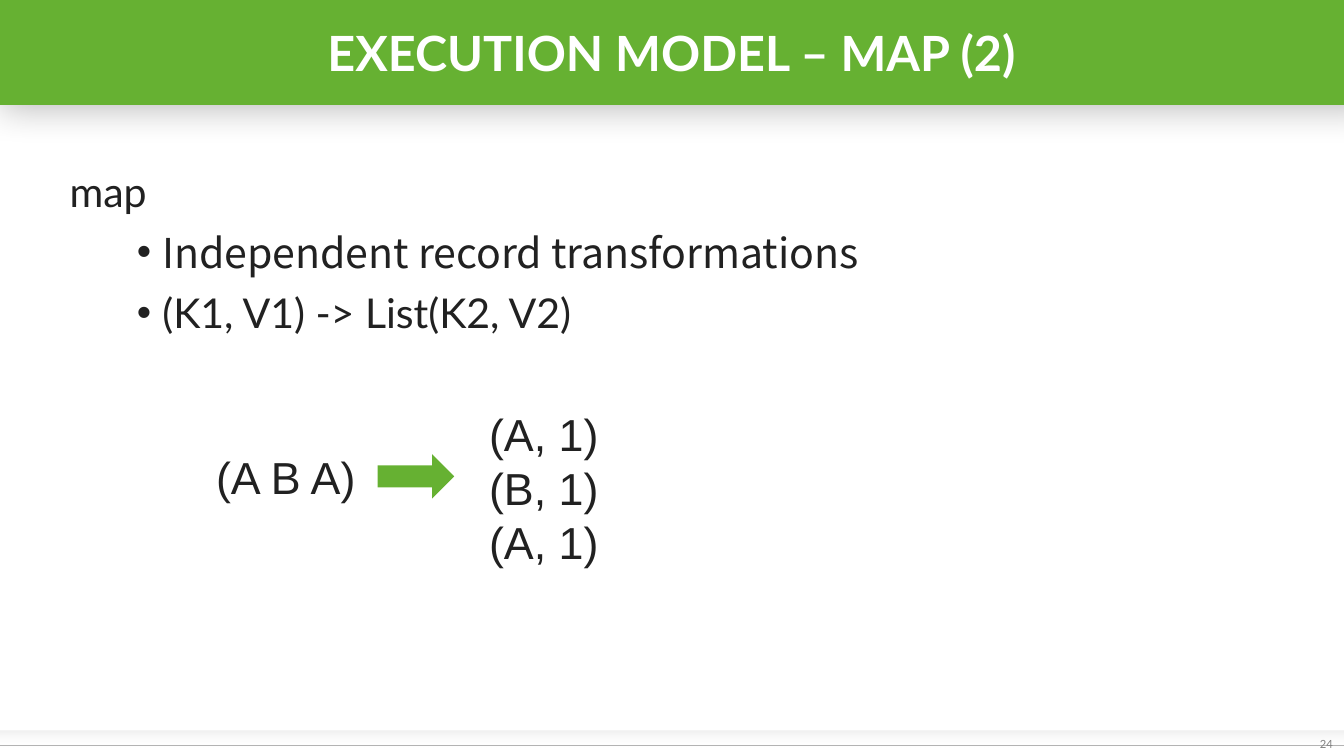
from lxml import etree
from pptx import Presentation
from pptx.dml.color import RGBColor
from pptx.enum.shapes import MSO_CONNECTOR, MSO_SHAPE
from pptx.enum.text import MSO_ANCHOR, PP_ALIGN
from pptx.oxml import parse_xml
from pptx.oxml.ns import nsdecls, qn
from pptx.util import Inches, Pt

GREEN = RGBColor(0x66, 0xB1, 0x32)
INK = RGBColor(0x21, 0x21, 0x21)
WHITE = RGBColor(0xFF, 0xFF, 0xFF)
RULE_GRAY = RGBColor(0xB3, 0xB3, 0xB3)
NUMBER_GRAY = RGBColor(0x80, 0x80, 0x80)
RECT, ARROW = MSO_SHAPE.RECTANGLE, MSO_SHAPE.RIGHT_ARROW
STRAIGHT = MSO_CONNECTOR.STRAIGHT
LEFT, CENTER = PP_ALIGN.LEFT, PP_ALIGN.CENTER
TOP, MIDDLE = MSO_ANCHOR.TOP, MSO_ANCHOR.MIDDLE
INSETS = (0.1, 0.05, 0.1, 0.05)
NO_INSETS = (0, 0, 0, 0)


def add_shape(s, kind, x, y, w, h):
    sp = s.shapes.add_shape(kind, Inches(x), Inches(y), Inches(w), Inches(h))
    sp.shadow.inherit = False
    sp.line.fill.background()
    sp.fill.solid()
    sp.fill.fore_color.rgb = GREEN
    return sp


def add_box(s, x, y, w, h):
    return s.shapes.add_textbox(Inches(x), Inches(y), Inches(w), Inches(h))


def set_text(sp, lines, size=24, font="Arial", color=INK, bold=False, align=LEFT,
             anchor=TOP, insets=INSETS, before=0):
    """Fill a shape with one paragraph per line and return the paragraphs."""
    tf = sp.text_frame
    tf.word_wrap = True
    tf.vertical_anchor = anchor
    tf.margin_left, tf.margin_top, tf.margin_right, tf.margin_bottom = map(Inches, insets)
    tf.text = "\n".join(lines)
    for p in tf.paragraphs:
        p.alignment = align
        p.space_before = Pt(before)
        f = p.runs[0].font
        f.size, f.name, f.bold = Pt(size), font, bold
        f.color.rgb = color
    return tf.paragraphs


def add_bullet(p, margin, indent):
    pPr = p._p.get_or_add_pPr()
    pPr.set("marL", str(Inches(margin)))
    pPr.set("indent", str(Inches(indent)))
    etree.SubElement(pPr, qn("a:buFont")).set("typeface", "Arial")
    etree.SubElement(pPr, qn("a:buChar")).set("char", "•")


def add_title(s, text, x, y, w, h):
    bar = add_shape(s, RECT, x, y, w, h)
    effects = bar._element.spPr.find(qn("a:effectLst"))
    effects.append(parse_xml(
        f'<a:outerShdw {nsdecls("a")} blurRad="{Pt(20)}" dist="0" dir="0"'
        ' sx="102000" sy="102000" algn="tl">'
        '<a:srgbClr val="000000"><a:alpha val="28000"/></a:srgbClr></a:outerShdw>'))
    set_text(bar, [text], size=26, font="Lato", color=WHITE, bold=True,
             align=CENTER, anchor=MIDDLE, insets=NO_INSETS)


def add_footer(s, number, x, y, w, h):
    band = add_shape(s, RECT, x, y, w, h)
    spPr = band._element.spPr
    spPr.replace(spPr.find(qn("a:solidFill")), parse_xml(
        f'<a:gradFill {nsdecls("a")}><a:gsLst>'
        '<a:gs pos="0"><a:srgbClr val="B3B3B3"><a:alpha val="20000"/></a:srgbClr></a:gs>'
        '<a:gs pos="67000"><a:srgbClr val="FFFFFF"><a:alpha val="0"/></a:srgbClr></a:gs>'
        '</a:gsLst><a:lin ang="5400000" scaled="0"/></a:gradFill>'))
    rule_y = Inches(y + 0.11)
    rule = s.shapes.add_connector(STRAIGHT, Inches(x), rule_y, Inches(x + w), rule_y)
    rule.line.color.rgb = RULE_GRAY
    rule.line.width = Pt(0.5)
    etree.SubElement(rule._element.spPr, qn("a:effectLst"))
    set_text(add_box(s, x + w - 0.25, y, 0.24, h), [number], size=6, font="Lato",
             color=NUMBER_GRAY, align=CENTER, anchor=MIDDLE, insets=NO_INSETS)


def add_body(s, heading, bullets, x, y, w, h):
    paragraphs = set_text(add_box(s, x, y, w, h), [heading, *bullets],
                          size=22, font="Lato", before=6)
    for p in paragraphs[1:]:
        p.level = 1
        add_bullet(p, 0.69, -0.19)
    paragraphs[1].runs[0].font.name = "Noto Sans CJK SC"


def add_map_example(s, record, pairs, x, y):
    set_text(add_box(s, x, y + 0.32, 1.3, 0.5), [record])
    set_text(add_box(s, x + 2.03, y, 1.22, 1.31), pairs)
    add_shape(s, ARROW, x + 1.3, y + 0.4, 0.57, 0.33)


def main():
    prs = Presentation()
    prs.slide_width = Inches(10)
    prs.slide_height = prs.slide_width * 9 // 16
    s = prs.slides.add_slide(prs.slide_layouts[6])
    add_footer(s, "24", 0, 5.44, 10, 0.19)
    add_body(s, "map", ["Independent record transformations", "(K1, V1) -> List(K2, V2)"],
             0.42, 1.19, 9.17, 4.2)
    add_title(s, "EXECUTION MODEL – MAP (2)", 0, 0, 10, 0.78)
    add_map_example(s, "(A B A)", ["(A, 1)", "(B, 1)", "(A, 1)"], 1.51, 2.98)
    prs.save("out.pptx")


if __name__ == "__main__":
    main()
